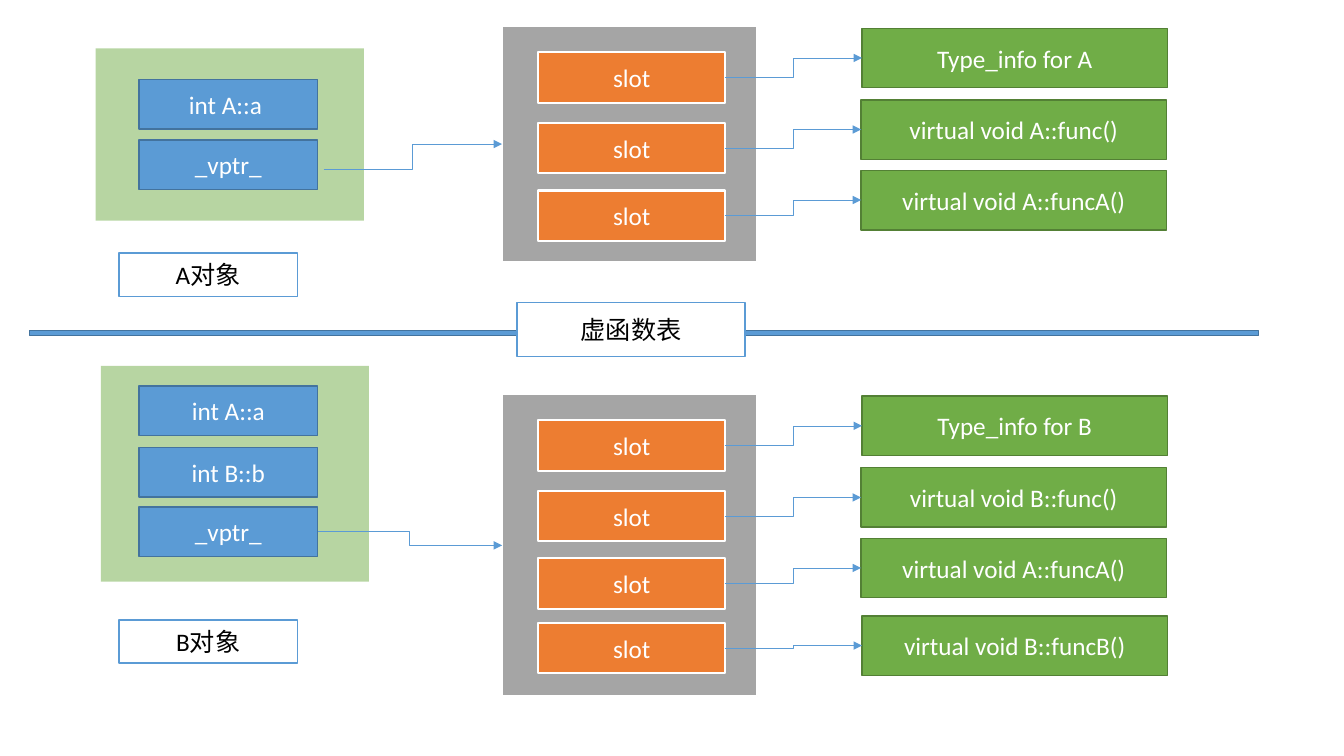
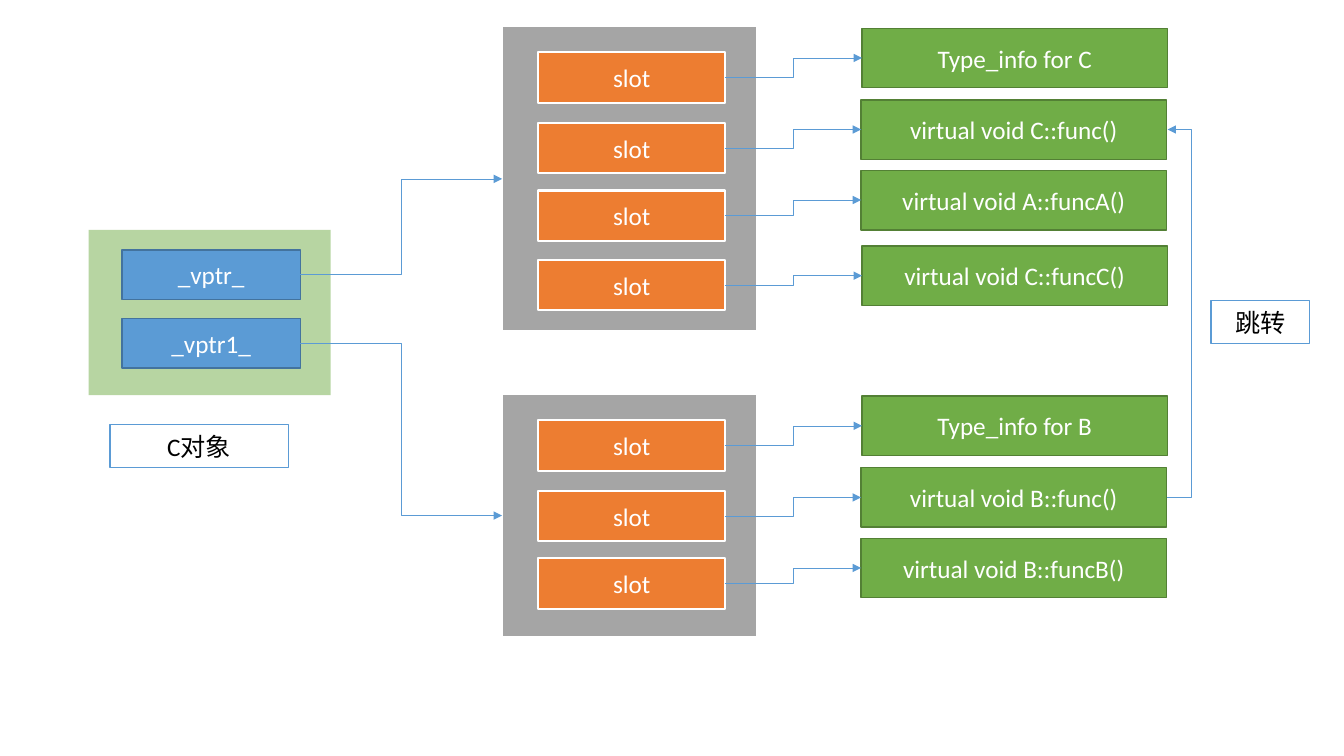
from dataclasses import dataclass

import lxml.etree
import pptx
import pptx.dml.color
import pptx.enum.shapes
import pptx.enum.text
import pptx.oxml
import pptx.oxml.ns
import pptx.shapes.autoshape
import pptx.shapes.connector
import pptx.slide
import pptx.util

Inches = pptx.util.Inches
Shape = pptx.shapes.autoshape.Shape
Connector = pptx.shapes.connector.Connector
Slide = pptx.slide.Slide


# Theme
@dataclass(frozen=True)
class Style:
    fill: str
    line: str = ""
    weight: float = 1
    text: str = "FFFFFF"
    alpha: int = 100


@dataclass(frozen=True)
class Theme:
    font: str = "Calibri"
    size: float = 18
    arrow: str = "5B9BD5"
    arrow_weight: float = 0.5
    member: Style = Style("5B9BD5", "43739E")
    instance: Style = Style("70AD47", alpha=50)
    table: Style = Style("A5A5A5", "FFFFFF", 1.5)
    slot: Style = Style("ED7D31", "FFFFFF", 1.5)
    entry: Style = Style("70AD47", "538035")
    label: Style = Style("FFFFFF", "5B9BD5", text="000000")


THEME = Theme()
LEFT_SITE, RIGHT_SITE = 1, 3


# Parts of the diagrams; lengths in inches
@dataclass(frozen=True)
class Box:
    left: float
    top: float
    width: float
    height: float


@dataclass(frozen=True)
class Entry:
    text: str
    slot_drop: float  # below the top of the table
    drop: float
    left: float = 8.54


@dataclass(frozen=True)
class VTable:
    top: float
    height: float
    entries: tuple[Entry, ...]


@dataclass(frozen=True)
class Member:
    text: str
    top: float


@dataclass(frozen=True)
class Instance:
    frame: Box
    member_left: float
    members: tuple[Member, ...]
    name: str
    name_left: float
    name_top: float


# Drawing functions
def add_box(slide: Slide, box: Box, style: Style, text: str = "") -> Shape:
    sp = slide.shapes.add_shape(
        pptx.enum.shapes.MSO_SHAPE.RECTANGLE,
        Inches(box.left), Inches(box.top), Inches(box.width), Inches(box.height))
    sp.shadow.inherit = False
    sp.fill.solid()
    sp.fill.fore_color.rgb = pptx.dml.color.RGBColor.from_string(style.fill)
    if style.alpha < 100:
        color = sp.fill._xPr.find(".//" + pptx.oxml.ns.qn("a:srgbClr"))
        alpha = lxml.etree.SubElement(color, pptx.oxml.ns.qn("a:alpha"))
        alpha.set("val", str(style.alpha * 1000))
    if style.line:
        sp.line.color.rgb = pptx.dml.color.RGBColor.from_string(style.line)
        sp.line.width = pptx.util.Pt(style.weight)
    else:
        sp.line.fill.background()
    if text:
        tf = sp.text_frame
        tf.vertical_anchor = pptx.enum.text.MSO_ANCHOR.MIDDLE
        p = tf.paragraphs[0]
        p.text = text
        p.alignment = pptx.enum.text.PP_ALIGN.CENTER
        p.font.name = THEME.font
        p.font.size = pptx.util.Pt(THEME.size)
        p.font.color.rgb = pptx.dml.color.RGBColor.from_string(style.text)
    return sp


def add_arrow(slide: Slide, x1: int, y1: int, x2: int, y2: int) -> Connector:
    line = slide.shapes.add_connector(
        pptx.enum.shapes.MSO_CONNECTOR.ELBOW, x1, y1, x2, y2)
    line.line.color.rgb = pptx.dml.color.RGBColor.from_string(THEME.arrow)
    line.line.width = pptx.util.Pt(THEME.arrow_weight)
    props = line._element.spPr
    tail = lxml.etree.SubElement(line.line._get_or_add_ln(), pptx.oxml.ns.qn("a:tailEnd"))
    tail.set("type", "triangle")
    lxml.etree.SubElement(props, pptx.oxml.ns.qn("a:effectLst"))
    return line


def link(slide: Slide, source: Shape, target: Shape,
         dx: float = 0, dy: float = 0) -> None:
    """Arrow from the right of source, or a shifted start, to the left of target."""
    line = add_arrow(
        slide,
        source.left + source.width + Inches(dx),
        source.top + source.height // 2 + Inches(dy),
        target.left, target.top + target.height // 2)
    if not (dx or dy):
        line.begin_connect(source, RIGHT_SITE)
    line.end_connect(target, LEFT_SITE)


def add_jump(slide: Slide, source: Shape, target: Shape) -> None:
    """Arrow that loops out between the right sides of two boxes."""
    step, reach = 0.01, 0.25
    right = source.left + source.width
    line = add_arrow(
        slide, right, source.top + source.height // 2,
        right + Inches(step), target.top + target.height // 2)
    guides = line._element.spPr.prstGeom.get_or_add_avLst()
    guide = lxml.etree.SubElement(guides, pptx.oxml.ns.qn("a:gd"))
    guide.set("name", "adj1")
    guide.set("fmla", f"val {round(reach / step * 100000)}")


def add_vtable(slide: Slide, vtable: VTable) -> tuple[Shape, list[Shape]]:
    table = add_box(slide, Box(4.98, vtable.top, 2.53, vtable.height), THEME.table)
    entries = []
    for entry in vtable.entries:
        slot = add_box(
            slide, Box(5.34, vtable.top + entry.slot_drop, 1.85, 0.5), THEME.slot, "slot")
        target = add_box(
            slide, Box(entry.left, vtable.top + entry.drop, 3.03, 0.59),
            THEME.entry, entry.text)
        link(slide, slot, target)
        entries.append(target)
    return table, entries


def add_instance(slide: Slide, instance: Instance) -> list[Shape]:
    add_box(slide, instance.frame, THEME.instance)
    add_box(slide, Box(instance.name_left, instance.name_top, 1.77, 0.43),
            THEME.label, instance.name)
    return [add_box(slide, Box(instance.member_left, m.top, 1.77, 0.49),
                    THEME.member, m.text) for m in instance.members]


def first_three(info: str, func: str, third: str) -> tuple[Entry, ...]:
    return (Entry(info, 0.26, 0.02, 8.55), Entry(func, 0.96, 0.73), Entry(third, 1.63, 1.43))


# Content
UPPER, LOWER = 0.26, 3.91

A_TABLE = VTable(UPPER, 2.34, first_three(
    "Type_info for A", "virtual void A::func()", "virtual void A::funcA()"))
B_TABLE = VTable(LOWER, 3, first_three(
    "Type_info for B", "virtual void B::func()", "virtual void A::funcA()")
    + (Entry("virtual void B::funcB()", 2.27, 2.2, 8.55),))
C_TABLE = VTable(UPPER, 3.03, first_three(
    "Type_info for C", "virtual void C::func()", "virtual void A::funcA()")
    + (Entry("virtual void C::funcC()", 2.32, 2.18, 8.55),))
B_IN_C_TABLE = VTable(LOWER, 2.41, first_three(
    "Type_info for B", "virtual void B::func()", "virtual void B::funcB()"))

A_OBJECT = Instance(
    Box(0.95, 0.48, 2.66, 1.71), 1.38,
    (Member("int A::a ", 0.79), Member("_vptr_", 1.39)), "A对象", 1.18, 2.51)
B_OBJECT = Instance(
    Box(1, 3.63, 2.66, 2.14), 1.38,
    (Member("int A::a", 3.83), Member("int B::b", 4.44), Member("_vptr_", 5.03)),
    "B对象", 1.18, 6.15)
C_OBJECT = Instance(
    Box(0.88, 2.28, 2.4, 1.64), 1.21,
    (Member("_vptr_", 2.48), Member("_vptr1_", 3.16)), "C对象", 1.09, 4.21)

prs = pptx.Presentation()
prs.slide_width, prs.slide_height = Inches(13.33), Inches(7.5)
blank = prs.slide_layouts[6]

# Slide 1: objects A and B, each with its own table
s = prs.slides.add_slide(blank)
add_box(s, Box(0.29, 3.28, 12.19, 0.05), THEME.member)
add_box(s, Box(5.13, 3, 2.26, 0.54), THEME.label, "虚函数表")
a_members = add_instance(s, A_OBJECT)
a_table, _ = add_vtable(s, A_TABLE)
link(s, a_members[-1], a_table, dx=0.06, dy=0.05)
b_members = add_instance(s, B_OBJECT)
b_table, _ = add_vtable(s, B_TABLE)
link(s, b_members[-1], b_table)

# Slide 2: object C with two tables and a jump between them
s = prs.slides.add_slide(blank)
c_members = add_instance(s, C_OBJECT)
c_table, c_entries = add_vtable(s, C_TABLE)
b_table, b_entries = add_vtable(s, B_IN_C_TABLE)
for vptr, table in zip(c_members, (c_table, b_table)):
    link(s, vptr, table)
add_jump(s, b_entries[1], c_entries[1])
add_box(s, Box(12.01, 2.98, 0.98, 0.43), THEME.label, "跳转")

prs.save("out.pptx")
